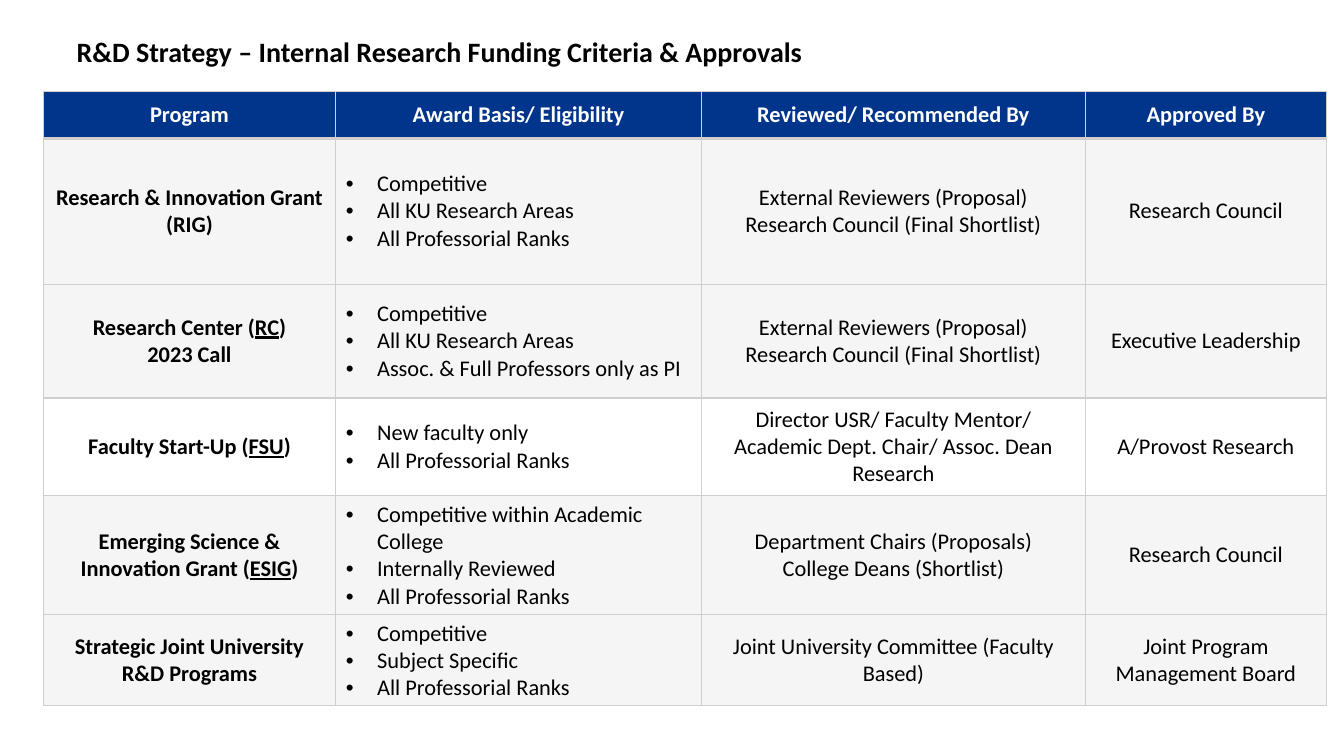
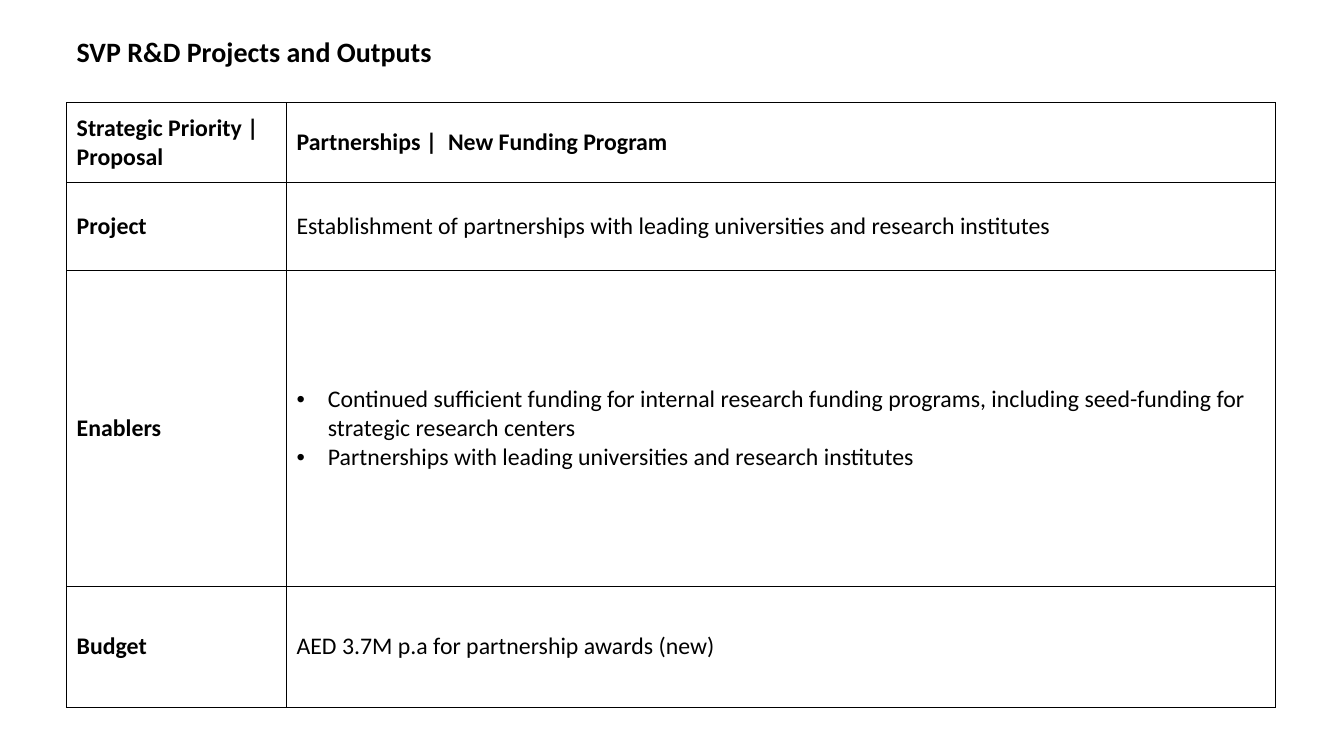
from pptx import Presentation
from pptx.dml.color import RGBColor
from pptx.enum.text import MSO_ANCHOR as Anchor, MSO_AUTO_SIZE as AutoSize, PP_ALIGN as Align
from pptx.oxml import parse_xml
from pptx.oxml.ns import nsdecls
from pptx.util import Cm, Pt

BLACK, WHITE, NAVY, SILVER, PALE = "000000", "FFFFFF", "00358B", "D0CFCD", "F6F5F5"


def rgb(color):
    return RGBColor.from_string(color)


def write(tf, text, size=16, color=BLACK, bold=False, align=Align.LEFT, bullet=False):
    """Fill a text frame: one paragraph per line, _underscores_ mark underlined words."""
    tf.word_wrap = True
    for i, line in enumerate(text.split("\n")):
        p = tf.paragraphs[0] if i == 0 else tf.add_paragraph()
        p.alignment = align
        if bullet:
            pPr = p._p.get_or_add_pPr()
            pPr.set("marL", str(Cm(0.79)))
            pPr.set("indent", str(-Cm(0.79)))
            pPr.append(parse_xml(f'<a:buFont {nsdecls("a")} typeface="Arial"/>'))
            pPr.append(parse_xml(f'<a:buChar {nsdecls("a")} char="•"/>'))
        for j, part in enumerate(line.split("_")):
            r = p.add_run()
            r.text = part
            r.font.name, r.font.size, r.font.bold = Deck.font, Pt(size), bold
            r.font.color.rgb = rgb(color)
            if j % 2:
                r.font.underline = True


def set_borders(cell, color, top=1, bottom=1):
    tcPr = cell._tc.get_or_add_tcPr()
    for side, width in zip("LRTB", (1, 1, top, bottom)):
        tcPr.append(parse_xml(
            f'<a:ln{side} {nsdecls("a")} w="{Pt(width)}"><a:solidFill>'
            f'<a:srgbClr val="{color}"/></a:solidFill></a:ln{side}>'))


class Deck:
    font = "Calibri"

    def __init__(self):
        self.prs = Presentation()
        self.prs.slide_width, self.prs.slide_height = Cm(33.87), Cm(19.05)
        self.s = None

    def slide(self, title):
        self.s = self.prs.slides.add_slide(self.prs.slide_layouts[6])
        sp = self.s.shapes.add_textbox(Cm(1.68), Cm(0.74), Cm(30.45), Cm(1.11))
        write(sp.text_frame, title, size=20, bold=True)
        sp.text_frame.auto_size = AutoSize.SHAPE_TO_FIT_TEXT

    def table(self, left, top, widths, heights):
        frame = self.s.shapes.add_table(
            len(heights), len(widths), Cm(left), Cm(top), Cm(sum(widths)), Cm(sum(heights)))
        table = frame.table
        table.first_row = table.horz_banding = False
        for col, width in zip(table.columns, widths):
            col.width = Cm(width)
        for row, height in zip(table.rows, heights):
            row.height = Cm(height)
        return table

    def cell(self, table, row, col, text, fill=None, line=BLACK, top=1, bottom=1, **fmt):
        cell = table.cell(row, col)
        cell.vertical_anchor = Anchor.MIDDLE
        set_borders(cell, line, top, bottom)
        if fill:
            cell.fill.solid()
            cell.fill.fore_color.rgb = rgb(fill)
        else:
            cell.fill.background()
        write(cell.text_frame, text, **fmt)


FUNDING = [
    ("Program", "Award Basis/ Eligibility", "Reviewed/ Recommended By", "Approved By"),
    ("Research & Innovation Grant (RIG)",
     "Competitive\nAll KU Research Areas\nAll Professorial Ranks",
     "External Reviewers (Proposal)\nResearch Council (Final Shortlist)",
     "Research Council"),
    ("Research Center (_RC_)\n2023 Call",
     "Competitive\nAll KU Research Areas\nAssoc. & Full Professors only as PI",
     "External Reviewers (Proposal)\nResearch Council (Final Shortlist)",
     "Executive Leadership"),
    ("Faculty Start-Up (_FSU_)",
     "New faculty only\nAll Professorial Ranks",
     "Director USR/ Faculty Mentor/ Academic Dept. Chair/ Assoc. Dean Research",
     "A/Provost Research"),
    ("Emerging Science & Innovation Grant (_ESIG_)",
     "Competitive within Academic College\nInternally Reviewed\nAll Professorial Ranks",
     "Department Chairs (Proposals)\nCollege Deans (Shortlist)",
     "Research Council"),
    ("Strategic Joint University R&D Programs",
     "Competitive\nSubject Specific\nAll Professorial Ranks",
     "Joint University Committee (Faculty Based)",
     "Joint Program Management Board"),
]
UNSHADED_ROW = 3

PROJECT = [
    ("Strategic Priority | Proposal", "Partnerships |  New Funding Program"),
    ("Project", "Establishment of partnerships with leading universities and research institutes"),
    ("Enablers",
     "Continued sufficient funding for internal research funding programs, "
     "including seed-funding for strategic research centers\n"
     "Partnerships with leading universities and research institutes"),
    ("Budget", "AED 3.7M p.a for partnership awards (new)"),
]


def funding_slide(deck):
    deck.slide("R&D Strategy – Internal Research Funding Criteria & Approvals")
    table = deck.table(1.09, 2.3, (7.37, 9.22, 9.67, 6.08), (1.19, 3.67, 2.87, 2.46, 3, 2.26))
    for i, row in enumerate(FUNDING):
        header = i == 0
        fill = NAVY if header else None if i == UNSHADED_ROW else PALE
        for j, text in enumerate(row):
            bullet = j == 1 and not header
            deck.cell(table, i, j, text, fill=fill, line=SILVER,
                      top=2 if i == 1 else 1, bottom=2 if header else 1,
                      color=WHITE if header else BLACK, bold=header or j == 0,
                      align=Align.LEFT if bullet else Align.CENTER, bullet=bullet)


def project_slide(deck):
    deck.slide("SVP R&D Projects and Outputs")
    table = deck.table(1.68, 2.59, (5.54, 24.92), (2, 2.22, 7.96, 3.05))
    for i, row in enumerate(PROJECT):
        for j, text in enumerate(row):
            deck.cell(table, i, j, text, size=17, bold=i == 0 or j == 0, bullet="\n" in text)


def main():
    deck = Deck()
    funding_slide(deck)
    project_slide(deck)
    deck.prs.save("out.pptx")


if __name__ == "__main__":
    main()
